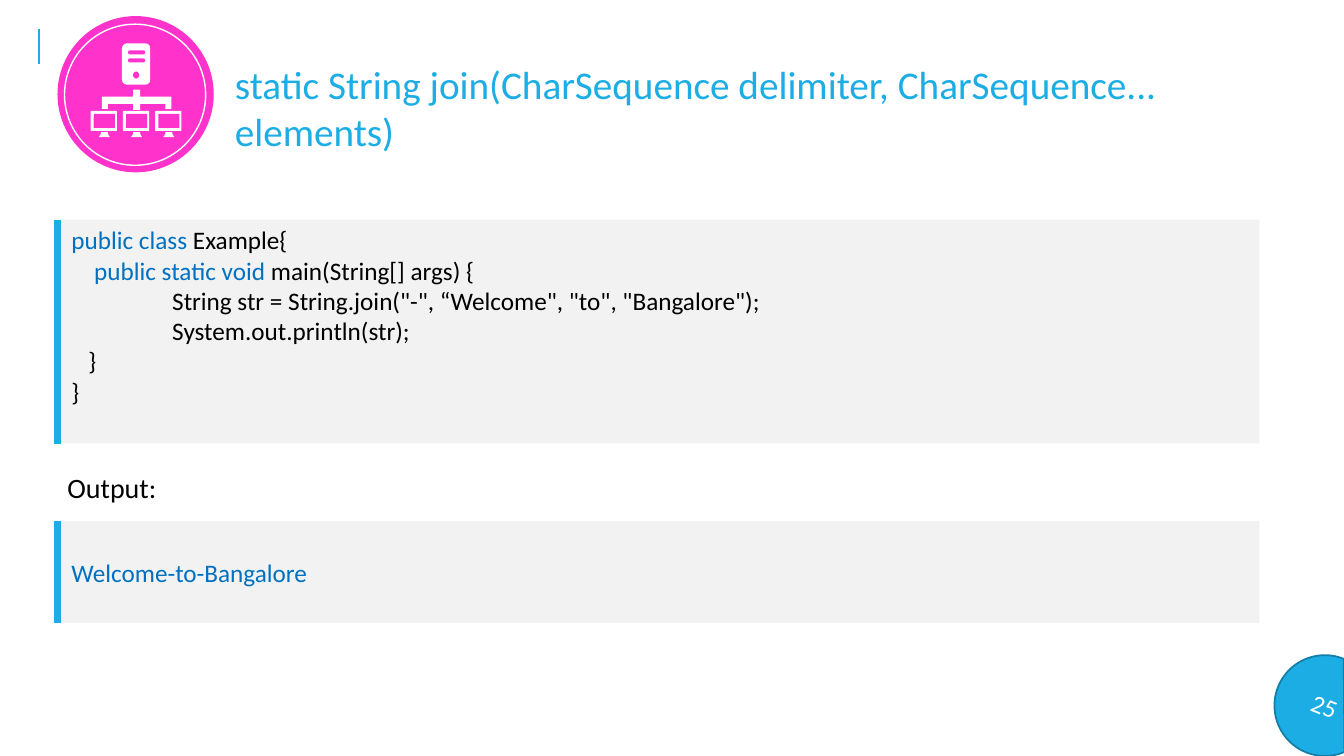
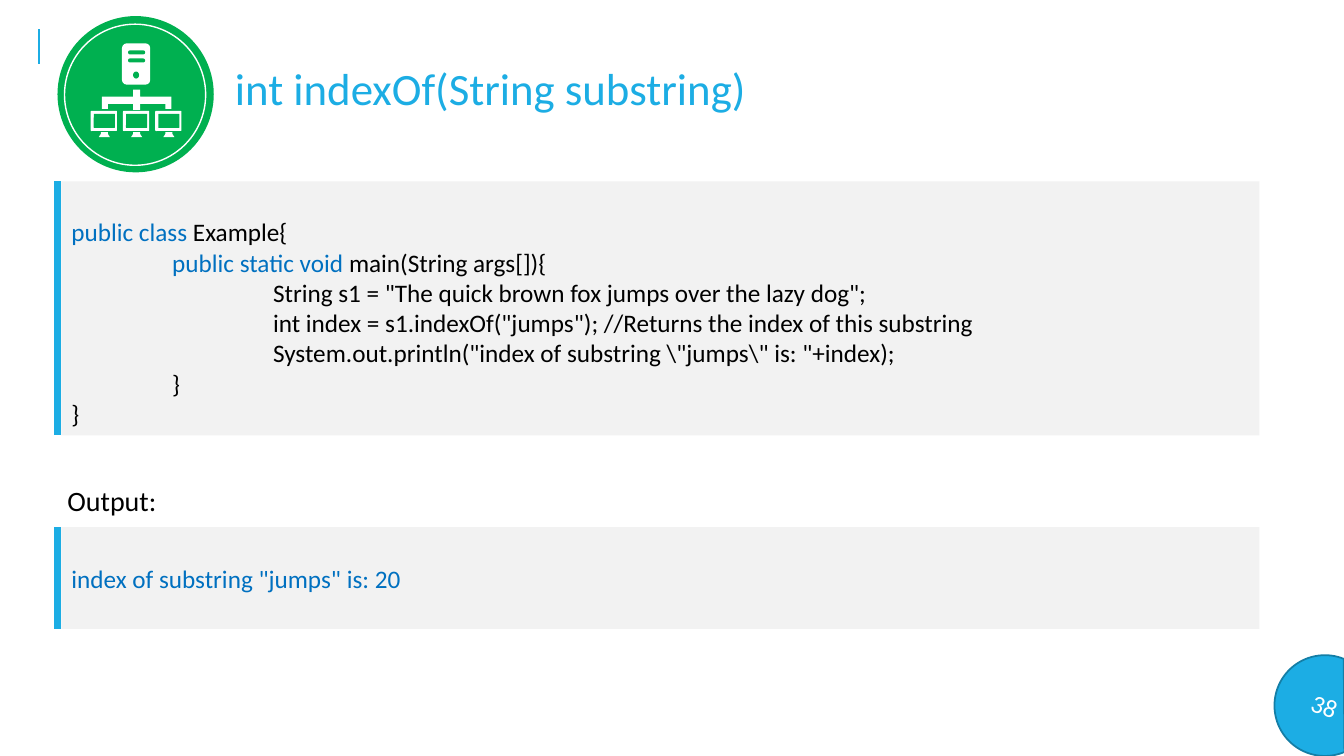
import dataclasses

import lxml.etree
import pptx
import pptx.dml.color
import pptx.enum.shapes
import pptx.enum.text
import pptx.oxml.ns
import pptx.util

PX = 9144  # EMU in one px, 100 px to the inch
SHAPE = pptx.enum.shapes.MSO_SHAPE
ANCHOR = pptx.enum.text.MSO_ANCHOR
ALIGN = pptx.enum.text.PP_ALIGN


@dataclasses.dataclass(frozen=True)
class Theme:
    font: str = "Calibri"
    accent: str = "1CADE4"
    accent_dark: str = "147EA6"
    keyword: str = "0070C0"
    text: str = "000000"
    panel: str = "F2F2F2"
    white: str = "FFFFFF"
    pink: str = "FF33CC"
    green: str = "00B050"
    code_size: int = 18
    label_size: int = 20
    long_title_size: int = 28
    title_size: int = 32


THEME = Theme()


def px(*lengths):
    return [pptx.util.Emu(length * PX) for length in lengths]


def rgb(color):
    return pptx.dml.color.RGBColor.from_string(color)


def add_tab_stops(paragraph, *positions):
    properties = paragraph._p.get_or_add_pPr()
    tab_list = lxml.etree.SubElement(properties, pptx.oxml.ns.qn("a:tabLst"))
    for position in px(*positions):
        lxml.etree.SubElement(tab_list, pptx.oxml.ns.qn("a:tab"), pos=str(position), algn="l")


class Deck:
    def __init__(self, theme):
        self.theme = theme
        self.presentation = pptx.Presentation()
        self.presentation.slide_width, self.presentation.slide_height = px(1333, 750)
        self.slide = None

    def new_slide(self, title, title_size, icon_color, number):
        """Start a slide with the parts that every slide shares."""
        self.slide = self.presentation.slides.add_slide(self.presentation.slide_layouts[5])
        self.line(self.slide.shapes, 39, 29, 64, 1.5)
        self.title(title, title_size)
        self.page_number(number)
        self.network_icon(icon_color)

    def style(self, run, size, color):
        run.font.name = self.theme.font
        run.font.size = pptx.util.Pt(size)
        run.font.color.rgb = rgb(color)

    def paint(self, shape, fill, line=None, line_width=1):
        shape.shadow.inherit = False
        shape.fill.solid()
        shape.fill.fore_color.rgb = rgb(fill)
        if line:
            shape.line.color.rgb = rgb(line)
            shape.line.width = pptx.util.Pt(line_width)
        else:
            shape.line.fill.background()

    def shape(self, shapes, kind, box, fill, line=None, line_width=1, radius=None):
        shape = shapes.add_shape(kind, *px(*box))
        self.paint(shape, fill, line, line_width)
        if radius is not None:
            shape.adjustments[0] = radius
        return shape

    def outline(self, shapes, points, fill):
        builder = shapes.build_freeform(*points[0], scale=PX)
        builder.add_line_segments(points[1:], close=True)
        self.paint(builder.convert_to_shape(), fill)

    def line(self, shapes, x, top, bottom, width):
        """Draw a vertical accent line."""
        connector = shapes.add_connector(
            pptx.enum.shapes.MSO_CONNECTOR.STRAIGHT, *px(x, top, x, bottom))
        connector.line.color.rgb = rgb(self.theme.accent)
        connector.line.width = pptx.util.Pt(width)
        lxml.etree.SubElement(connector._element.spPr, pptx.oxml.ns.qn("a:effectLst"))

    def title(self, text, size):
        title = self.slide.shapes.title
        title.left, title.top, title.width, title.height = px(223, 55, 1020, 104)
        frame = title.text_frame
        frame.text = text
        frame.word_wrap = True
        frame.auto_size = pptx.enum.text.MSO_AUTO_SIZE.NONE
        frame.vertical_anchor = ANCHOR.TOP
        frame.paragraphs[0].alignment = ALIGN.LEFT
        self.style(frame.paragraphs[0].runs[0], size, self.theme.accent)

    def page_number(self, number):
        badge = self.shape(self.slide.shapes, SHAPE.CHORD, (1264, 650, 100, 100),
                           self.theme.accent, self.theme.accent_dark, 1.25)
        badge.adjustments[0] = 27
        badge.adjustments[1] = 161.87
        badge.rotation = 22.2
        frame = badge.text_frame
        frame.text = str(number)
        frame.vertical_anchor = ANCHOR.MIDDLE
        frame.paragraphs[0].alignment = ALIGN.CENTER
        self.style(frame.paragraphs[0].runs[0], self.theme.code_size, self.theme.white)

    def network_icon(self, color):
        """Draw a server joined to three monitors on a round badge."""
        white = self.theme.white
        shapes = self.slide.shapes.add_group_shape().shapes
        self.shape(shapes, SHAPE.OVAL, (57, 16, 155, 155), color)
        self.shape(shapes, SHAPE.OVAL, (64, 24, 140, 140), color, white)
        self.shape(shapes, SHAPE.ROUNDED_RECTANGLE, (121, 43, 28, 41), white, radius=0.17)
        for slot_top in (50, 58):
            self.shape(shapes, SHAPE.ROUNDED_RECTANGLE, (127, slot_top, 17, 4), color, radius=0.5)
        self.shape(shapes, SHAPE.OVAL, (132, 71, 6, 7), color)
        self.outline(shapes, [
            (132, 89), (139, 89), (139, 96), (170, 96), (170, 108), (164, 108),
            (164, 103), (139, 103), (139, 109), (132, 109), (132, 103), (107, 103),
            (107, 108), (101, 108), (101, 96), (132, 96)], white)
        for left in range(90, 155, 32):
            self.shape(shapes, SHAPE.ROUNDED_RECTANGLE, (left, 110, 26, 20), white, radius=0.04)
            self.shape(shapes, SHAPE.ROUNDED_RECTANGLE, (left + 3, 113, 21, 14), color, radius=0.05)
            stand = [(10, 131), (17, 131), (17, 133), (19, 136), (8, 136), (10, 133)]
            self.outline(shapes, [(left + x, y) for x, y in stand], white)

    def panel(self, top, height, lines, anchor=ANCHOR.TOP, inset_top=5):
        """Draw a grey panel; each line is a pair of keyword and plain text."""
        shapes = self.slide.shapes.add_group_shape().shapes
        panel = self.shape(shapes, SHAPE.RECTANGLE, (61, top, 1188, height), self.theme.panel)
        self.line(shapes, 57, top, top + height, 4.5)
        frame = panel.text_frame
        frame.word_wrap = True
        frame.vertical_anchor = anchor
        frame.margin_top = px(inset_top)[0]
        for index, (keyword, plain) in enumerate(lines):
            paragraph = frame.add_paragraph() if index else frame.paragraphs[0]
            paragraph.alignment = ALIGN.LEFT
            add_tab_stops(paragraph, 100, 200)
            for text, color in ((keyword, self.theme.keyword), (plain, self.theme.text)):
                if text:
                    run = paragraph.add_run()
                    run.text = text
                    self.style(run, self.theme.code_size, color)

    def output(self, label_top, panel_top, result):
        label = self.slide.shapes.add_textbox(*px(57, label_top, 120, 44))
        label.text_frame.text = "Output:"
        label.text_frame.word_wrap = True
        self.style(label.text_frame.paragraphs[0].runs[0], self.theme.label_size, self.theme.text)
        self.panel(panel_top, 101, [(result, "")], ANCHOR.MIDDLE)


def main():
    deck = Deck(THEME)

    deck.new_slide("static String join(CharSequence delimiter, CharSequence... elements)",
                   THEME.long_title_size, THEME.pink, 25)
    deck.panel(218, 222, [
        ("public class ", "Example{"),
        ("    public static void ", "main(String[] args) {"),
        ("", '\tString str = String.join("-", “Welcome", "to", "Bangalore");'),
        ("", "\tSystem.out.println(str);"),
        ("", "   }"),
        ("", "}"),
    ])
    deck.output(462, 517, "Welcome-to-Bangalore")

    deck.new_slide("int indexOf(String substring)", THEME.title_size, THEME.green, 38)
    deck.panel(180, 252, [
        ("public class ", "Example{"),
        ("\tpublic static void ", "main(String args[]){"),
        ("", '\t\tString s1 = "The quick brown fox jumps over the lazy dog";'),
        ("", '\t\tint index = s1.indexOf("jumps"); //Returns the index of this substring'),
        ("", '\t\tSystem.out.println("index of substring \\"jumps\\" is: "+index);'),
        ("", "\t}"),
        ("", "}"),
    ], inset_top=35)
    deck.output(475, 523, 'index of substring "jumps" is: 20')

    deck.presentation.save("out.pptx")


if __name__ == "__main__":
    main()
